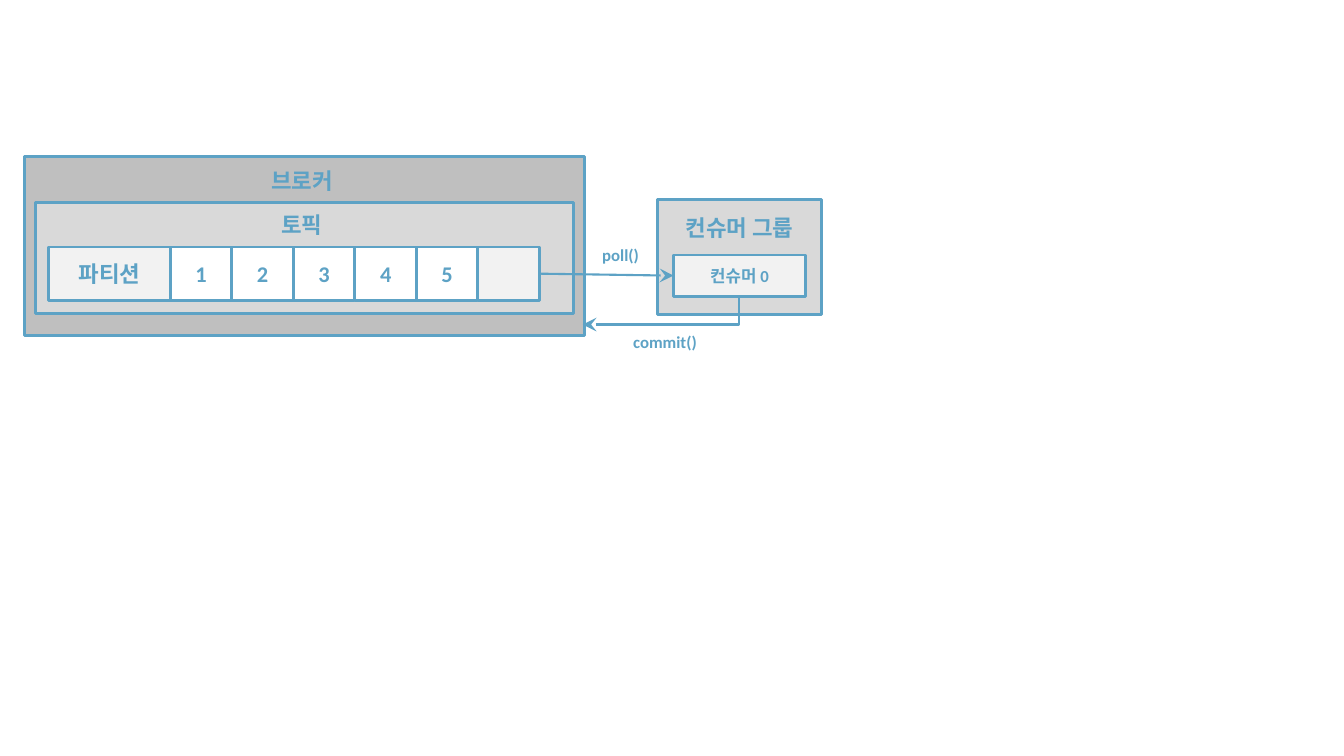
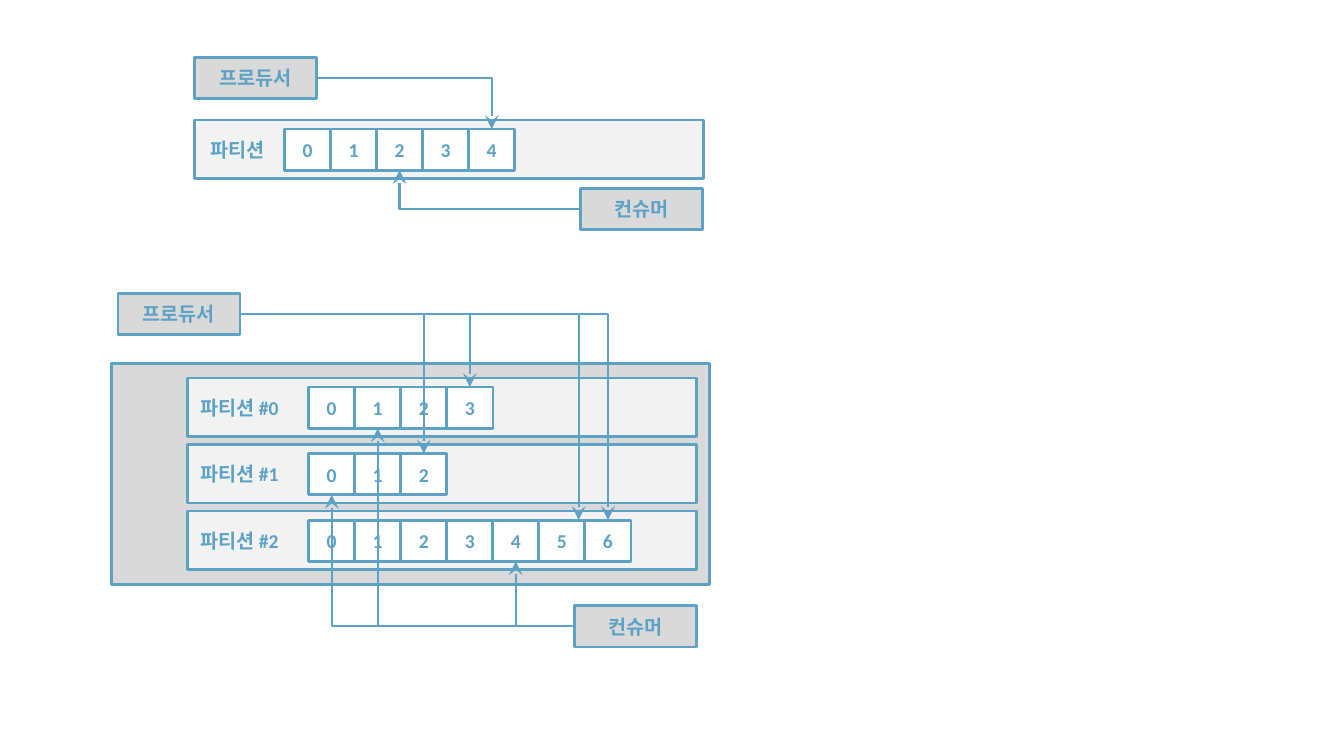
from pptx import Presentation
from pptx.dml.color import RGBColor
from pptx.enum.shapes import MSO_CONNECTOR as Connector, MSO_SHAPE as Shape
from pptx.enum.text import MSO_ANCHOR as Anchor, PP_ALIGN as Align
from pptx.oxml.ns import qn
from pptx.util import Inches, Pt
from lxml.etree import SubElement

BLUE = RGBColor(0x5D, 0xA2, 0xC5)
DARK = RGBColor(0xBF, 0xBF, 0xBF)
GRAY = RGBColor(0xD9, 0xD9, 0xD9)
PALE = RGBColor(0xF2, 0xF2, 0xF2)
WHITE = RGBColor(0xFF, 0xFF, 0xFF)
FONT = "Calibri"
TOP, LEFT, BOTTOM, RIGHT = range(4)

BROKER_BOXES = [
    ((0.24, 1.55, 5.56, 1.78), DARK),
    ((0.35, 2.01, 5.34, 1.1), GRAY),
    ((6.52, 1.98, 1.63, 1.14), GRAY),
]
BROKER_LABELS = [
    ("브로커", (2.49, 1.61, 1.01, 0.37), 16),
    ("토픽", (2.49, 2.04, 1.01, 0.37), 16),
    ("컨슈머 그룹", (6.52, 2.07, 1.63, 0.37), 16),
    ("poll()", (5.65, 2.38, 1.01, 0.3), 12),
    ("commit()", (6.09, 3.24, 1.01, 0.3), 12),
]
OFFSETS = ["1", "2", "3", "4", "5", ""]
OFFSET_LEFT, OFFSET_TOP, OFFSET_WIDTH, OFFSET_HEIGHT = 1.69, 2.45, 0.61, 0.53

ROLE_SIZE = (1.21, 0.41)
PARTITION_SIZE = (5.05, 0.58)
CELL_SIZE = (0.46, 0.41)
CELL_PITCH = 2.74 / 6
CELL_DROP = 0.09

SINGLE = {
    "partitions": [("파티션", 5)],
    "origin": (1.93, 1.19),
    "cell_left": 2.82,
    "label_width": 0.85,
    "producer": (1.93, 0.57),
    "consumer": (5.76, 1.87),
    "written": [(0, 4)],
    "read": [(0, 2)],
}
MULTIPLE = {
    "partitions": [("파티션 #0", 4), ("파티션 #1", 3), ("파티션 #2", 7)],
    "origin": (1.86, 3.75),
    "cell_left": 3.06,
    "label_width": 1.03,
    "producer": (1.17, 2.91),
    "consumer": (5.7, 6.01),
    "written": [(0, 3), (1, 2), (2, 6)],
    "read": [(0, 1), (1, 0), (2, 4)],
}
PARTITION_PITCH = 0.66
TOPIC_BOX = (1.11, 3.61, 5.93, 2.19)
EXTRA_WRITE = (5.74, 5.16)
COMMIT_START, COMMIT_END = (5.78, 3.22), (7.33, 2.94)


def write(shape, text, size):
    frame = shape.text_frame
    frame.word_wrap = True
    frame.vertical_anchor = Anchor.MIDDLE
    frame.margin_left = frame.margin_right = 0
    frame.margin_top = frame.margin_bottom = 0
    paragraph = frame.paragraphs[0]
    paragraph.alignment = Align.CENTER
    run = paragraph.add_run()
    run.text = text
    run.font.name = FONT
    run.font.size = Pt(size)
    run.font.bold = True
    run.font.color.rgb = BLUE


def add_box(slide, place, fill, text="", size=14):
    shape = slide.shapes.add_shape(Shape.RECTANGLE, *map(Inches, place))
    shape.shadow.inherit = False
    shape.fill.solid()
    shape.fill.fore_color.rgb = fill
    shape.line.color.rgb = BLUE
    shape.line.width = Pt(2)
    if text:
        write(shape, text, size)
    return shape


def add_label(slide, text, place, size):
    write(slide.shapes.add_textbox(*map(Inches, place)), text, size)


def add_arrow(slide, kind, start, end, arrow="tailEnd"):
    points = [(0, 0) if isinstance(site[0], type(slide.shapes[0])) else site for site in (start, end)]
    connector = slide.shapes.add_connector(kind, *(Inches(value) for point in points for value in point))
    if points[0] != start:
        connector.begin_connect(*start)
    if points[1] != end:
        connector.end_connect(*end)
    connector.line.color.rgb = BLUE
    connector.line.width = Pt(1.5)
    properties = connector._element.spPr
    if kind == Connector.ELBOW:
        properties.find(qn("a:prstGeom")).set("prst", "bentConnector2")
    SubElement(properties.find(qn("a:ln")), qn("a:" + arrow), type="stealth", w="lg", len="lg")
    SubElement(properties, qn("a:effectLst"))


def build_commit_slide(slide):
    for place, fill in BROKER_BOXES:
        add_box(slide, place, fill)
    consumer = add_box(slide, (6.68, 2.53, 1.31, 0.41), PALE, "컨슈머 0", 12)
    add_box(slide, (0.48, OFFSET_TOP, 1.21, OFFSET_HEIGHT), PALE, "파티션", 16)
    for index, offset in enumerate(OFFSETS):
        place = (OFFSET_LEFT + index * OFFSET_WIDTH, OFFSET_TOP, OFFSET_WIDTH, OFFSET_HEIGHT)
        last = add_box(slide, place, WHITE if offset else PALE, offset, 16)
    for label in BROKER_LABELS:
        add_label(slide, *label)
    add_arrow(slide, Connector.STRAIGHT, (last, RIGHT), (consumer, LEFT))
    add_arrow(slide, Connector.ELBOW, COMMIT_START, COMMIT_END, "headEnd")


def add_queue(slide, queue):
    left, top = queue["origin"]
    cells = {}
    for row, (name, count) in enumerate(queue["partitions"]):
        y = top + row * PARTITION_PITCH
        add_box(slide, (left, y, *PARTITION_SIZE), PALE)
        add_label(slide, name, (left, y, queue["label_width"], PARTITION_SIZE[1]), 14)
        for column in range(count):
            place = (queue["cell_left"] + column * CELL_PITCH, y + CELL_DROP, *CELL_SIZE)
            cells[row, column] = add_box(slide, place, WHITE, str(column))
    producer = add_box(slide, (*queue["producer"], *ROLE_SIZE), GRAY, "프로듀서")
    consumer = add_box(slide, (*queue["consumer"], *ROLE_SIZE), GRAY, "컨슈머")
    for key in queue["written"]:
        add_arrow(slide, Connector.ELBOW, (producer, RIGHT), (cells[key], TOP))
    for key in queue["read"]:
        add_arrow(slide, Connector.ELBOW, (consumer, LEFT), (cells[key], BOTTOM))
    return producer


def build_partition_slide(slide):
    add_box(slide, TOPIC_BOX, GRAY)
    add_queue(slide, SINGLE)
    producer = add_queue(slide, MULTIPLE)
    add_arrow(slide, Connector.ELBOW, (producer, RIGHT), EXTRA_WRITE)


def main():
    presentation = Presentation()
    presentation.slide_width = Inches(13.33)
    presentation.slide_height = Inches(7.5)
    for build in (build_commit_slide, build_partition_slide):
        build(presentation.slides.add_slide(presentation.slide_layouts[6]))
    presentation.save("out.pptx")


if __name__ == "__main__":
    main()
